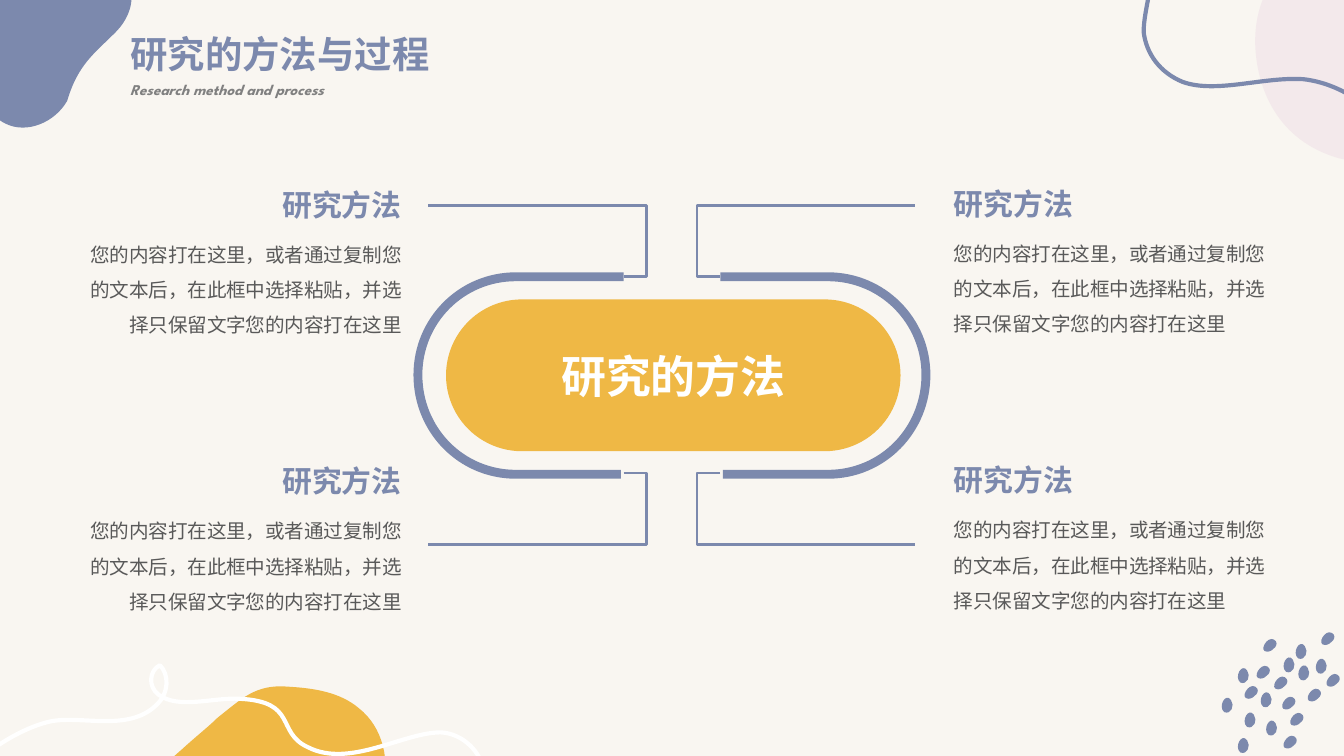
from dataclasses import dataclass

from lxml import etree
from pptx import Presentation
from pptx.dml.color import RGBColor
from pptx.enum import shapes as kinds, text as t
from pptx.oxml import ns
from pptx.util import Cm, Pt


@dataclass(frozen=True)
class Theme:
    paper = RGBColor(0xF9, 0xF6, 0xF1)
    blue = RGBColor(0x7C, 0x89, 0xAD)
    yellow = RGBColor(0xEF, 0xB8, 0x45)
    pink = RGBColor(0xF3, 0xE9, 0xEB)
    white = RGBColor(0xFF, 0xFF, 0xFF)
    grey = RGBColor(0x80, 0x80, 0x80)
    ink = RGBColor(0x59, 0x59, 0x59)
    chinese = "Noto Sans CJK SC"
    english = "League Spartan"
    title = {"name": chinese, "size": Pt(20), "bold": True}
    subtitle = {"name": english, "size": Pt(8), "bold": True, "italic": True}
    centre = {"name": chinese, "size": Pt(24), "bold": True}
    heading = {"name": chinese, "size": Pt(16), "bold": True}
    body = {"name": chinese, "size": Pt(10.5), "bold": False}


theme = Theme()
GRID = Cm(0.0254)  # curve points are whole hundredths of an inch

prs = Presentation()
prs.slide_width, prs.slide_height = Cm(25.4), Cm(14.29)
slide = prs.slides.add_slide(prs.slide_layouts[5])
slide.background.fill.solid()
slide.background.fill.fore_color.rgb = theme.paper


def draw_curve(points, colour, line_width=None, shift=(0, 0)):
    """Points are a flat x, y list: a start, then three points per Bezier."""
    start, *rest = [(x + shift[0], y + shift[1])
                    for x, y in zip(points[::2], points[1::2])]
    builder = slide.shapes.build_freeform(*start, scale=GRID)
    builder.add_line_segments(rest, close=line_width is None)
    shape = builder.convert_to_shape()
    corners = shape._element.xpath(".//a:lnTo")
    for first, second, third in zip(corners[::3], corners[1::3], corners[2::3]):
        first.tag = ns.qn("a:cubicBezTo")
        for corner in (second, third):
            first.append(corner[0])
            corner.getparent().remove(corner)
    shape.shadow.inherit = False
    if line_width:
        shape.fill.background()
        shape.line.color.rgb, shape.line.width = colour, Pt(line_width)
    else:
        shape.fill.solid()
        shape.fill.fore_color.rgb = colour
        shape.line.fill.background()


def write(shape, wording, style, colour, align=t.PP_ALIGN.LEFT, wrap=True,
          spacing=1, anchor=t.MSO_ANCHOR.TOP):
    frame = shape.text_frame
    frame.word_wrap, frame.vertical_anchor = wrap, anchor
    frame.auto_size = t.MSO_AUTO_SIZE.NONE
    paragraph = frame.paragraphs[0]
    paragraph.alignment, paragraph.line_spacing = align, spacing
    run = paragraph.add_run()
    run.text = wording
    for attribute, value in style.items():
        setattr(run.font, attribute, value)
    run.font.color.rgb = colour
    east_asian = etree.SubElement(run.font._element, ns.qn("a:ea"))
    east_asian.set("typeface", style["name"])


# Speckles: two outlines, each repeated at its places
upright = [9, 5, 5, -1, -1, 10, 4, 14, 9, 16, 12, 9, 9, 5]
leaning = [12, 3, 7, 0, 0, 12, 7, 12, 11, 12, 17, 6, 12, 3]
upright_places = [(907, 516), (919, 494), (953, 486), (964, 492), (936, 512),
                  (924, 527), (940, 533), (919, 546), (962, 476), (977, 487)]
leaning_places = [(922, 508), (931, 493), (969, 510), (944, 501), (950, 516),
                  (951, 545), (983, 499), (979, 468), (936, 473), (956, 528)]
for outline, places in ((upright, upright_places), (leaning, leaning_places)):
    for place in places:
        draw_curve(outline, theme.blue, shift=place)

# Corner blobs and ribbons
pink_blob = [997, 118, 950, 105, 935, 65, 934, 33, 933, -5, 955, -38, 994, -37,
             1030, -35, 1065, 0, 1068, 50, 1070, 100, 1032, 126, 997, 118]
blue_ribbon = [856, -10, 853, 7, 851, 15, 851, 24, 853, 40, 863, 54, 880, 61,
               905, 70, 940, 57, 970, 59, 987, 61, 1000, 68, 1008, 73]
blue_blob = [96, -10, 101, 1, 95, 15, 86, 24, 70, 40, 58, 48, 50, 75,
             41, 91, 20, 100, 4, 92, -8, 86, -15, 73, -28, 70,
             -60, 76, -85, 70, -90, 39, -101, -9, -80, -63, -39, -90,
             0, -100, 35, -85, 48, -50, 58, -30, 88, -28, 96, -10]
yellow_blob = [162, 534, 155, 541, 147, 547, 135, 558, 115, 575, 106, 590, 106, 607,
               106, 640, 140, 651, 172, 651, 230, 650, 270, 630, 284, 589,
               291, 567, 285, 541, 267, 527, 253, 515, 233, 512, 214, 511,
               190, 509, 180, 520, 162, 534]
white_ribbon = [-32, 577, -10, 560, 12, 543, 37, 537, 60, 532, 95, 545, 116, 525,
                126, 516, 126, 502, 119, 495, 111, 499, 110, 511, 118, 517,
                133, 528, 158, 519, 178, 520, 222, 522, 205, 545, 229, 556,
                260, 572, 300, 545, 328, 545, 345, 546, 358, 560, 360, 574]
for points, colour, line_width in (
        (pink_blob, theme.pink, None), (blue_ribbon, theme.blue, 2.25),
        (blue_blob, theme.blue, None), (yellow_blob, theme.yellow, None),
        (white_ribbon, theme.white, 2.25)):
    draw_curve(points, colour, line_width)

# Title and subtitle
title = slide.shapes.title
title.left, title.top, title.width, title.height = Cm(2.21), Cm(0.46), Cm(6.22), Cm(1.12)
write(title, "研究的方法与过程", theme.title, theme.blue, wrap=False)
subtitle = slide.shapes.add_textbox(Cm(2.21), Cm(1.4), Cm(9.35), Cm(0.61))
write(subtitle, "Research method and process", theme.subtitle, theme.grey)

# Central pill with a half ring on each side
pill = slide.shapes.add_shape(kinds.MSO_SHAPE.ROUNDED_RECTANGLE,
                              Cm(8.43), Cm(5.66), Cm(8.59), Cm(2.87))
pill.adjustments[0] = 0.5
pill.shadow.inherit = False
pill.fill.solid()
pill.fill.fore_color.rgb = theme.yellow
pill.line.fill.background()
write(pill, "研究的方法", theme.centre, theme.white, t.PP_ALIGN.CENTER,
      anchor=t.MSO_ANCHOR.MIDDLE)

half_ring = [462, 353, 462, 353, 384, 353, 384, 353, 343, 353, 311, 320, 311, 279,
             311, 239, 343, 206, 384, 206, 384, 206, 464, 206, 464, 206]
mirrored_ring = [value if i % 2 else 1000 - value for i, value in enumerate(half_ring)]
for ring in (half_ring, mirrored_ring):
    draw_curve(ring, theme.blue, 4.75)

# Brackets from the ring to the four texts
for inner_x, outer_x in ((11.79, 8.1), (13.61, 17.3)):
    for inner_y, outer_y in ((5.23, 3.89), (8.94, 10.29)):
        bracket = slide.shapes.add_connector(kinds.MSO_CONNECTOR.ELBOW, Cm(inner_x),
                                             Cm(inner_y), Cm(outer_x), Cm(outer_y))
        bracket.line.color.rgb, bracket.line.width = theme.blue, Pt(1.5)
        properties = bracket._element.spPr
        etree.SubElement(properties, ns.qn("a:effectLst"))
        bend = etree.SubElement(properties.xpath(".//a:avLst")[0], ns.qn("a:gd"))
        bend.set("name", "adj1")
        bend.set("fmla", "val -11800")

# Four explanations
explanation = "您的内容打在这里，或者通过复制您的文本后，在此框中选择粘贴，并选择只保留文字您的内容打在这里"
sides = ((5.05, 1.14, 3.4, t.PP_ALIGN.RIGHT), (17.78, 17.78, 3.38, t.PP_ALIGN.LEFT))
for heading_x, body_x, first_y, align in sides:
    for y in (first_y, first_y + 5.23):
        heading = slide.shapes.add_textbox(Cm(heading_x), Cm(y), Cm(2.79), Cm(0.94))
        write(heading, "研究方法", theme.heading, theme.blue, align, wrap=False)
        body = slide.shapes.add_textbox(Cm(body_x), Cm(y + 0.84), Cm(6.71), Cm(2.21))
        write(body, explanation, theme.body, theme.ink, align, spacing=1.5)

prs.save("out.pptx")
